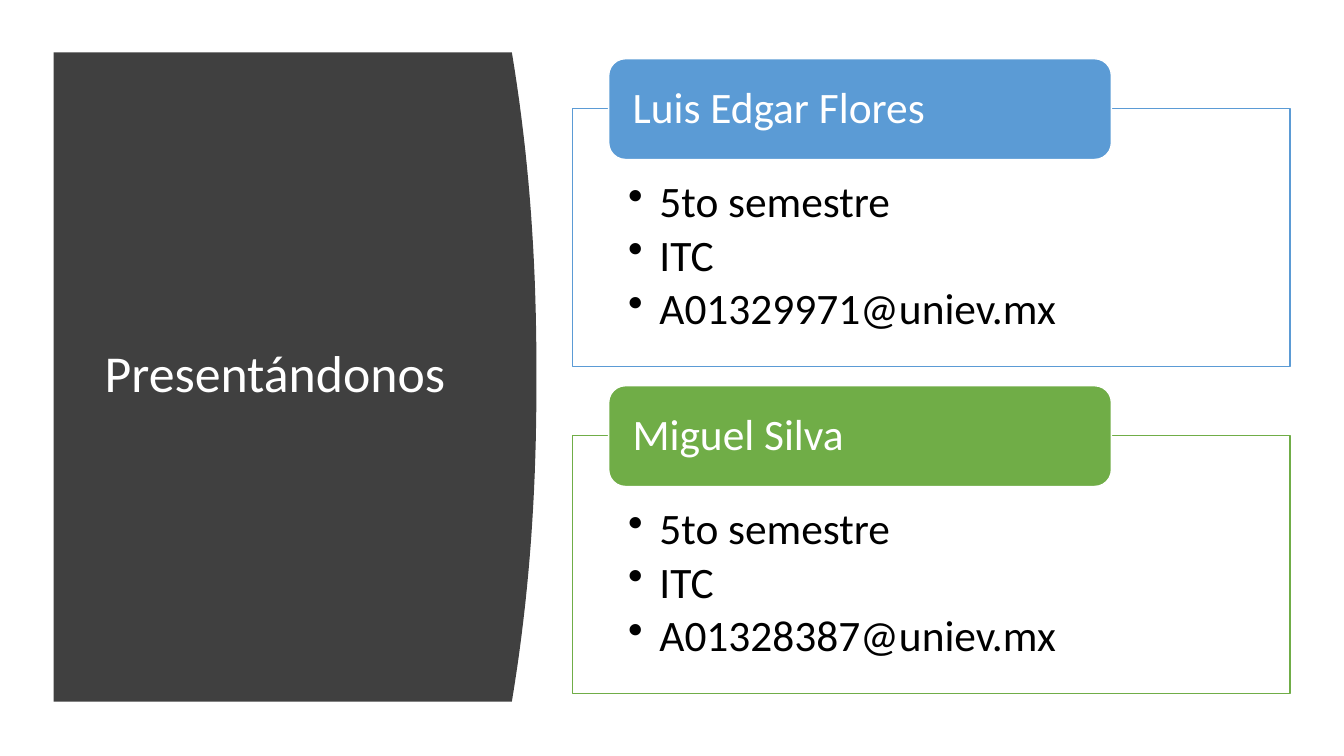
from pptx import Presentation
from pptx.dml.color import RGBColor
from pptx.enum.shapes import MSO_SHAPE
from pptx.enum.text import MSO_ANCHOR, PP_ALIGN
from pptx.oxml.xmlchemy import OxmlElement
from pptx.util import Cm, Pt

RECTANGLE = MSO_SHAPE.RECTANGLE
ROUNDED = MSO_SHAPE.ROUNDED_RECTANGLE
TOP = MSO_ANCHOR.TOP
MIDDLE = MSO_ANCHOR.MIDDLE
LEFT = PP_ALIGN.LEFT


def color(value):
    return RGBColor.from_string(value)


def write(frame, lines, size, ink, anchor, margins):
    frame.word_wrap = True
    frame.vertical_anchor = anchor
    frame.margin_left = frame.margin_right = Cm(margins[0])
    frame.margin_top, frame.margin_bottom = Cm(margins[1]), Cm(margins[2])
    for index, line in enumerate(lines):
        para = frame.paragraphs[0] if index == 0 else frame.add_paragraph()
        para.text = line
        para.alignment = LEFT
        para.line_spacing = 0.9
        para.font.name = "Calibri"
        para.font.size = Pt(size)
        para.font.color.rgb = color(ink)


deck = Presentation()
deck.slide_width, deck.slide_height = Cm(33.87), Cm(19.05)
page = deck.slides.add_slide(deck.slide_layouts[6])

panel_left, panel_top, panel_height = 1.35, 1.32, 16.36
edge, bulge, steps = 12.9, 0.62, 40
curve = []
for step in range(steps + 1):
    offset = abs(2 * step / steps - 1)
    x = edge + bulge * (1 - offset ** 2.2)
    y = panel_top + panel_height * step / steps
    curve.append((Cm(x), Cm(y)))
outline = page.shapes.build_freeform(Cm(panel_left), Cm(panel_top))
outline.add_line_segments(curve + [(Cm(panel_left), Cm(panel_top + panel_height))])
panel = outline.convert_to_shape()
panel.shadow.inherit = False
panel.fill.solid()
panel.fill.fore_color.rgb = color("404040")
panel.line.fill.background()

title = page.shapes.add_textbox(Cm(2.39), Cm(2.82), Cm(9.5), Cm(13.31))
write(title.text_frame, ["Presentándonos"], 37, "FFFFFF", MIDDLE, (0.25, 0.13, 0.13))

people = [
    ("Luis Edgar Flores", "A01329971@uniev.mx", "5B9BD5"),
    ("Miguel Silva", "A01328387@uniev.mx", "70AD47"),
]
for row, (name, address, accent) in enumerate(people):
    top = 1.48 + row * 8.24

    card = page.shapes.add_shape(RECTANGLE, Cm(14.43), Cm(top + 1.26), Cm(18.08), Cm(6.5))
    label = page.shapes.add_shape(ROUNDED, Cm(15.34), Cm(top), Cm(12.67), Cm(2.54))
    for box, fill, line in ((card, "FFFFFF", accent), (label, accent, "FFFFFF")):
        box.shadow.inherit = False
        box.fill.solid()
        box.fill.fore_color.rgb = color(fill)
        box.line.color.rgb = color(line)
        box.line.width = Pt(1)

    details = ["5to semestre", "ITC", address]
    write(card.text_frame, details, 31, "000000", TOP, (1.4, 1.8, 0.6))
    write(label.text_frame, [name], 31, "FFFFFF", MIDDLE, (0.48, 0, 0))

    for para in card.text_frame.paragraphs:
        para.space_after = Pt(4.65)
        properties = para._p.get_or_add_pPr()
        properties.set("marL", str(Cm(0.79)))
        properties.set("indent", str(Cm(-0.79)))
        bullet = OxmlElement("a:buChar")
        bullet.set("char", "•")
        properties.insert_element_before(bullet, "a:tabLst", "a:defRPr", "a:extLst")

deck.save("out.pptx")
